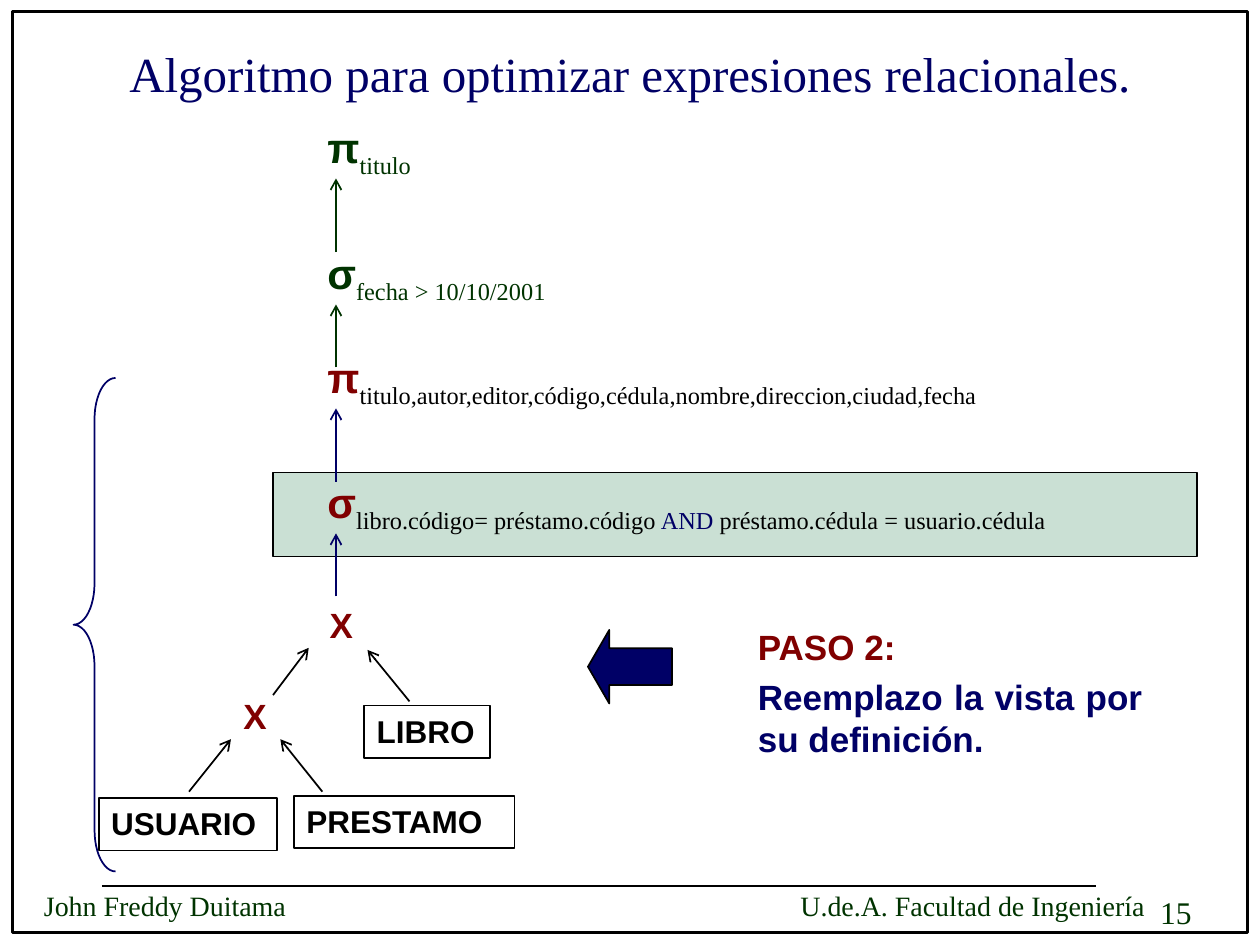
from dataclasses import dataclass

from lxml.etree import SubElement
from pptx import Presentation
from pptx.dml.color import RGBColor
from pptx.enum.shapes import MSO_CONNECTOR, MSO_SHAPE
from pptx.enum.text import MSO_ANCHOR, MSO_AUTO_SIZE, PP_ALIGN
from pptx.oxml.ns import qn
from pptx.util import Inches, Pt


@dataclass(frozen=True)
class Theme:
    sans: str = "Arial"
    serif: str = "Times New Roman"
    black: str = "000000"
    navy: str = "000066"
    green: str = "003300"
    maroon: str = "800000"
    mint: str = "CAE0D4"
    title_size: int = 28
    operator_size: int = 24
    step_size: int = 20
    label_size: int = 18
    footer_size: int = 16


class TreeSlide:
    columns = 120
    rows = 90

    def __init__(self, deck, theme):
        self.theme = theme
        self.column = deck.slide_width / self.columns
        self.row = deck.slide_height / self.rows
        self.page = deck.slides.add_slide(deck.slide_layouts[5])

    def place(self, left, top, width, height):
        return (round(left * self.column), round(top * self.row),
                round(width * self.column), round(height * self.row))

    def style(self, span, size, color, bold=True, serif=False):
        span.font.name = self.theme.serif if serif else self.theme.sans
        span.font.size = Pt(size)
        span.font.bold = bold
        span.font.color.rgb = RGBColor.from_string(color)

    def title(self, text, area):
        box = self.page.shapes.title
        box.left, box.top, box.width, box.height = self.place(*area)
        frame = box.text_frame
        frame.text = text
        frame.auto_size = MSO_AUTO_SIZE.NONE
        frame.vertical_anchor = MSO_ANCHOR.MIDDLE
        para = frame.paragraphs[0]
        para.alignment = PP_ALIGN.CENTER
        self.style(para.runs[0], self.theme.title_size, self.theme.navy, False, True)

    def text(self, text, area, size, colors, align=PP_ALIGN.JUSTIFY, bold=True, serif=False):
        box = self.page.shapes.add_textbox(*self.place(*area))
        frame = box.text_frame
        frame.word_wrap = True
        frame.text = text
        for index, (para, color) in enumerate(zip(frame.paragraphs, colors)):
            para.alignment = align
            if index:
                para.space_before = Pt(0.23 * size)
            self.style(para.runs[0], size, color, bold, serif)
        return box

    def operator(self, symbol, color, subscripts, top):
        box = self.text(symbol, (30, top, 82, 6), self.theme.operator_size, [color])
        para = box.text_frame.paragraphs[0]
        for text, shade in subscripts:
            span = para.add_run()
            span.text = text
            self.style(span, self.theme.operator_size, shade, False, True)
            span.font._element.set("baseline", "-25000")

    def relation(self, name, area):
        box = self.text(name, area, self.theme.label_size, [self.theme.black])
        box.line.color.rgb = RGBColor.from_string(self.theme.black)
        box.line.width = Pt(1)

    def shape(self, kind, area, line, fill=None, width=1, adjustments=()):
        shape = self.page.shapes.add_shape(kind, *self.place(*area))
        shape.shadow.inherit = False
        if fill:
            shape.fill.solid()
            shape.fill.fore_color.rgb = RGBColor.from_string(fill)
        else:
            shape.fill.background()
        shape.line.color.rgb = RGBColor.from_string(line)
        shape.line.width = Pt(width)
        for index, value in enumerate(adjustments):
            shape.adjustments[index] = value

    def line(self, start, end, color, arrow=True):
        points = self.place(*start, *end)
        line = self.page.shapes.add_connector(MSO_CONNECTOR.STRAIGHT, *points)
        line.line.color.rgb = RGBColor.from_string(color)
        line.line.width = Pt(1)
        if arrow:
            SubElement(line.line._get_or_add_ln(), qn("a:tailEnd"), type="arrow")
        SubElement(line._element.spPr, qn("a:effectLst"))


def main():
    deck = Presentation()
    deck.slide_width, deck.slide_height = Inches(10), Inches(7.5)
    theme = Theme()
    slide = TreeSlide(deck, theme)

    slide.shape(MSO_SHAPE.RECTANGLE, (1.2, 1.1, 117.6, 87.7), theme.black, width=2)
    slide.title("Algoritmo para optimizar expresiones relacionales.", (9, 3.4, 102, 7))
    slide.line((9.7, 84.4), (104.4, 84.4), theme.black, arrow=False)
    for text, area, size, align in (
        ("John Freddy Duitama", (3, 84, 40, 4), theme.footer_size, PP_ALIGN.LEFT),
        ("U.de.A. Facultad de Ingeniería", (60, 84, 50.2, 4), theme.footer_size, PP_ALIGN.RIGHT),
        ("15", (109.3, 84.5, 9.2, 4.8), theme.label_size, PP_ALIGN.LEFT),
    ):
        slide.text(text, area, size, [theme.green], align, bold=False, serif=True)

    slide.shape(MSO_SHAPE.RECTANGLE, (26, 45, 88, 8), theme.black, theme.mint)
    columns = "titulo,autor,editor,código,cédula,nombre,direccion,ciudad,fecha"
    join = [("libro.código= préstamo.código", theme.black), (" AND ", theme.navy),
            ("préstamo.cédula = usuario.cédula", theme.black)]
    for symbol, color, subscripts, top, length, arrow_color in (
        ("π", theme.green, [("titulo", theme.green)], 11, 7, theme.green),
        ("σ", theme.green, [("fecha > 10/10/2001", theme.green)], 23, 6, theme.green),
        ("π", theme.maroon, [(columns, theme.black)], 32.9, 7, theme.navy),
        ("σ", theme.maroon, join, 44.8, 6, theme.navy),
    ):
        slide.operator(symbol, color, subscripts, top)
        tip = top + 6
        slide.line((32, tip + length), (32, tip), arrow_color)

    for area, align in (((28, 56.9, 9, 5.1), PP_ALIGN.CENTER),
                        ((22, 65.6, 6, 5.1), PP_ALIGN.JUSTIFY)):
        slide.text("X", area, theme.step_size, [theme.maroon], align)
    for start, end in (((26, 66.2), (29.4, 61.7)), ((39, 66.8), (35, 61.9)),
                       ((18, 75.4), (22, 70.4)), ((30.7, 75.4), (26.7, 70.4))):
        slide.line(start, end, theme.black)
    for name, area in (("LIBRO", (34.7, 67.2, 12, 5)),
                       ("PRESTAMO", (28, 75.8, 21, 5)),
                       ("USUARIO", (9.4, 76, 17, 5))):
        slide.relation(name, area)

    slide.text("PASO 2:\nReemplazo la vista por su definición.", (71, 59, 39, 14),
               theme.step_size, [theme.maroon, theme.navy])
    slide.shape(MSO_SHAPE.LEFT_ARROW, (56, 60, 8, 7), theme.black, theme.navy,
                adjustments=(0.5, 0.29))
    slide.shape(MSO_SHAPE.LEFT_BRACE, (7, 36, 4, 47), theme.navy, adjustments=(0.98, 0.5))

    deck.save("out.pptx")


if __name__ == "__main__":
    main()
